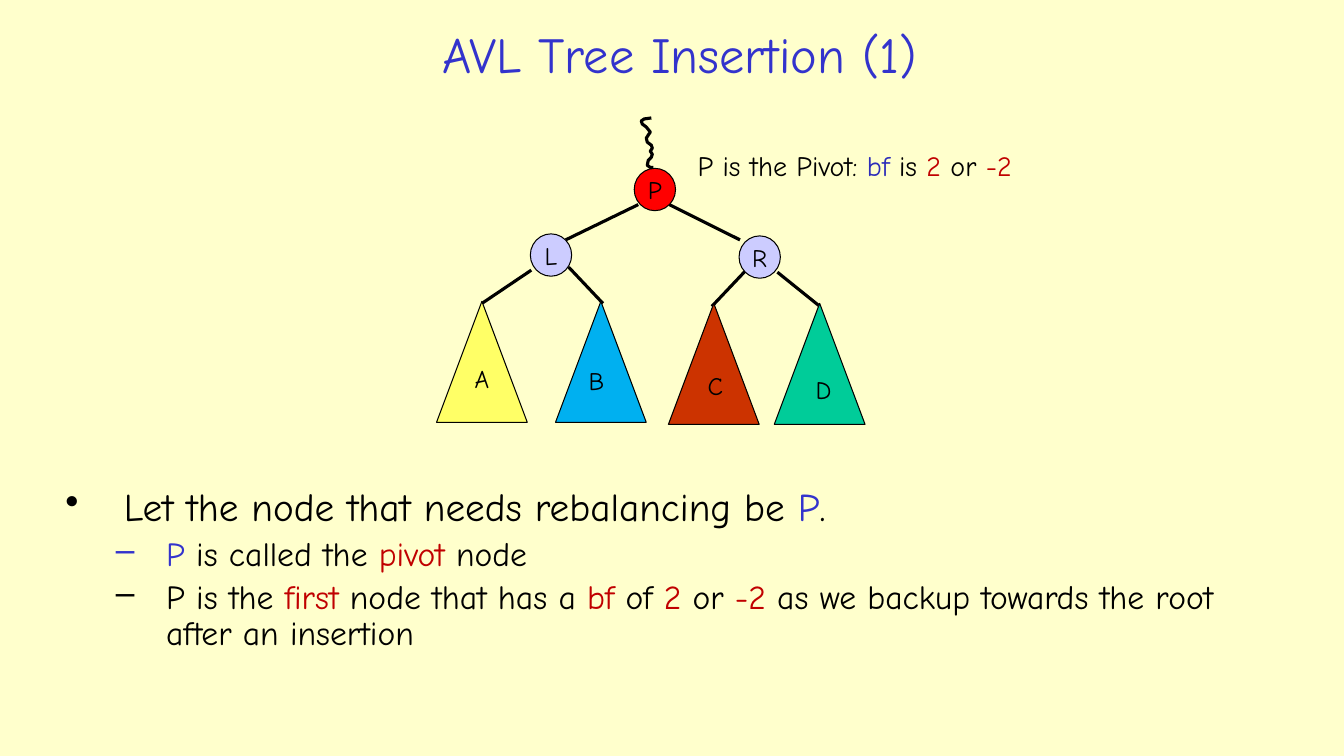
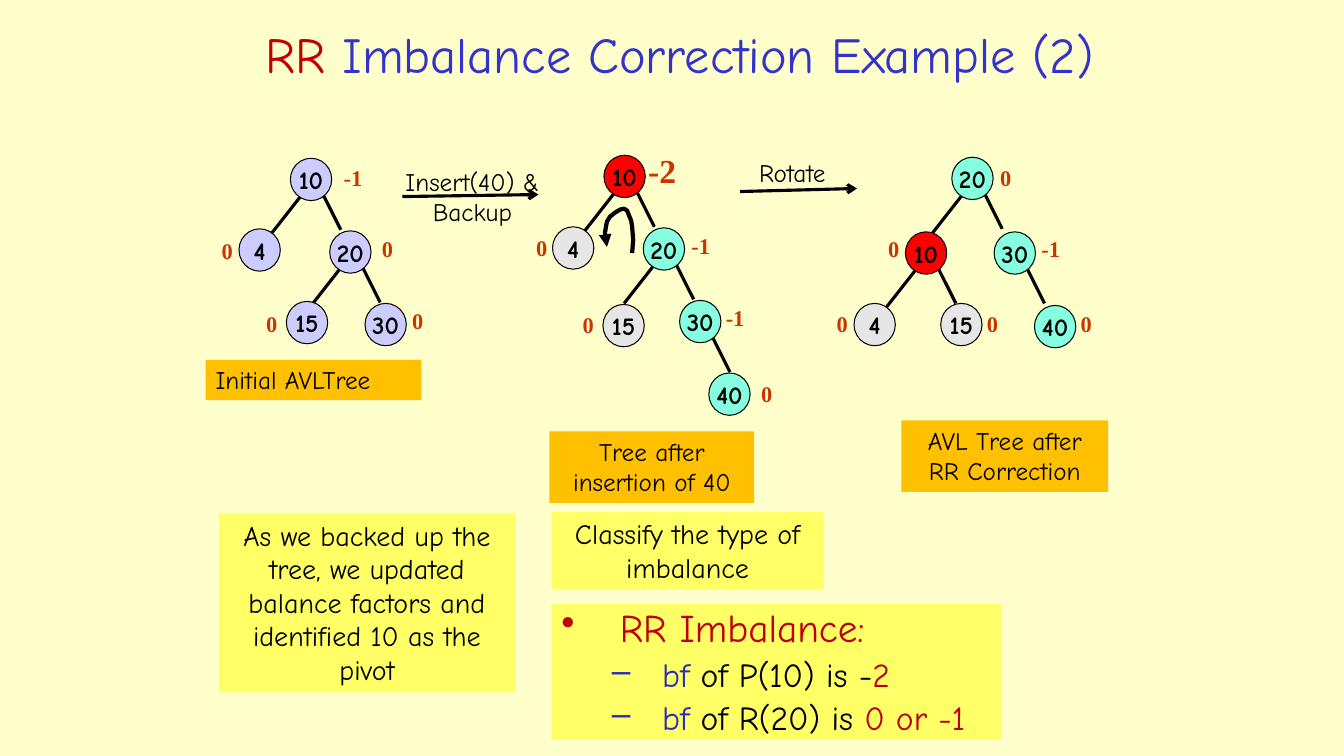
from lxml import etree
from pptx import Presentation
from pptx import util as u
from pptx.dml.color import RGBColor
from pptx.enum import shapes, text
from pptx.oxml.ns import qn

HUE = {
    "page": "FFFFCC", "title": "3333CC", "ink": "000000", "blue": "2D2DB9",
    "dark": "C00000", "brick": "CC3300", "red": "FF0000", "lilac": "CCCCFF",
    "grey": "E6E6E6", "mint": "85FFE0", "gold": "FFC000", "lemon": "FFFF66",
    "sky": "00B0F0", "green": "00CC99",
}
RGB = {name: RGBColor.from_string(code) for name, code in HUE.items()}
FONT = "Comic Neue"
KIND = shapes.MSO_SHAPE
LEFT, MID = text.PP_ALIGN.LEFT, text.PP_ALIGN.CENTER
TOP, CORE = text.MSO_ANCHOR.TOP, text.MSO_ANCHOR.MIDDLE


def put(page, kind, box, fill=None, edge=False):
    spot = [u.Inches(v) for v in box]
    if kind is None:
        return page.shapes.add_textbox(*spot)
    item = page.shapes.add_shape(kind, *spot)
    item.shadow.inherit = False
    item.fill.solid()
    item.fill.fore_color.rgb = RGB[fill]
    if edge:
        item.line.color.rgb = RGB["ink"]
        item.line.width = u.Pt(0.75)
    else:
        item.line.fill.background()
    return item


def write(item, rows, size, align=LEFT, anchor=TOP, font=FONT, hue="ink",
          bold=False, wrap=True, marks=False):
    frame = item.text_frame
    frame.word_wrap = wrap
    frame.vertical_anchor = anchor
    for i, row in enumerate(rows):
        para = frame.add_paragraph() if i else frame.paragraphs[0]
        para.alignment = align
        if marks:
            para.level = min(i, 1)
            para.line_spacing = 0.9
            para.space_before = u.Pt(5 if i else 0)
            props = para._p.get_or_add_pPr()
            props.set("marL", str(u.Inches(1 if i else 0.58)))
            props.set("indent", str(u.Inches(-0.5 if i else -0.58)))
            etree.SubElement(props, qn("a:buChar")).set("char", "–" if i else "•")
        para.font.name = font
        para.font.size = u.Pt(24 if marks and i else size)
        para.font.bold = bold
        para.font.color.rgb = RGB[hue]
        for words, tint in [(row, hue)] if isinstance(row, str) else row:
            run = para.add_run()
            run.text = words
            run.font.color.rgb = RGB[tint]


deck = Presentation()
deck.slide_width, deck.slide_height = u.Inches(13.33), u.Inches(7.5)
back = deck.slide_master.background.fill
back.solid()
back.fore_color.rgb = RGB["page"]

pages = []
for runs in [
    [("AVL Tree Insertion (1)", "title")],
    [("RR", "dark"), (" Imbalance Correction Example (2)", "title")],
]:
    page = deck.slides.add_slide(deck.slide_layouts[5])
    head = page.shapes.title
    head.left, head.top = u.Inches(1.97), u.Inches(0.15)
    head.width, head.height = u.Inches(9.54), u.Inches(0.76)
    write(head, [runs], 36, MID, CORE, hue="title")
    pages.append(page)
pivot, fix = pages

nodes = [
    (fix, "10", 2.88, 1.57, "lilac", "LR"),
    (fix, "4", 2.37, 2.27, "lilac", ""),
    (fix, "20", 3.27, 2.29, "lilac", "LR"),
    (fix, "15", 2.84, 2.99, "lilac", ""),
    (fix, "30", 3.62, 3.01, "lilac", ""),
    (fix, "10", 5.99, 1.54, "red", "LR"),
    (fix, "4", 5.48, 2.25, "grey", ""),
    (fix, "20", 6.38, 2.26, "mint", "LR"),
    (fix, "15", 5.98, 3.02, "grey", ""),
    (fix, "30", 6.74, 2.98, "mint", "R"),
    (fix, "40", 7.03, 3.7, "mint", ""),
    (fix, "20", 9.44, 1.56, "mint", "LR"),
    (fix, "10", 8.98, 2.3, "red", "LR"),
    (fix, "30", 9.86, 2.3, "mint", "R"),
    (fix, "4", 8.47, 3.01, "grey", ""),
    (fix, "15", 9.33, 3.01, "grey", ""),
    (fix, "40", 10.26, 3.03, "mint", ""),
    (pivot, "P", 6.29, 1.67, "red", ""),
    (pivot, "L", 5.26, 2.32, "lilac", ""),
    (pivot, "R", 7.33, 2.34, "lilac", ""),
]

lines = [
    (pivot, 6.33, 2.03, 5.61, 2.38, False),
    (pivot, 6.64, 2.03, 7.34, 2.38, False),
    (pivot, 5.27, 2.68, 4.78, 3.01, False),
    (pivot, 5.64, 2.65, 5.98, 3.01, False),
    (pivot, 7.4, 2.68, 7.06, 3.04, False),
    (pivot, 7.71, 2.7, 8.12, 3.03, False),
    (fix, 3.99, 1.95, 5.34, 1.93, True),
    (fix, 7.34, 1.9, 8.5, 1.87, True),
]
limbs = {"L": (0.1, 0.38, -0.29, 0.37), "R": (0.33, 0.37, 0.17, 0.34)}
for page, word, x, y, fill, sides in nodes:
    for side in sides:
        dx, dy, run, drop = limbs[side]
        lines.append((page, x + dx, y + dy, x + dx + run, y + dy + drop, False))

for page, x1, y1, x2, y2, tip in lines:
    ends = [u.Inches(v) for v in (x1, y1, x2, y2)]
    line = page.shapes.add_connector(shapes.MSO_CONNECTOR.STRAIGHT, *ends)
    line.line.color.rgb = RGB["ink"]
    line.line.width = u.Pt(2.25)
    props = line._element.spPr
    if tip:
        etree.SubElement(props.find(qn("a:ln")), qn("a:tailEnd")).set("type", "arrow")
    etree.SubElement(props, qn("a:effectLst"))

for page, word, x, y, fill, sides in nodes:
    ball = put(page, KIND.OVAL, (x, y, 0.41, 0.42), fill, True)
    write(ball, [word], 18, MID, CORE, bold=page is fix, wrap=False)

for word, x, y, fill, tx, ty in [
    ("A", 4.33, 2.99, "lemon", 4.61, 3.56),
    ("B", 5.51, 2.99, "sky", 5.74, 3.58),
    ("C", 6.63, 3.01, "brick", 6.92, 3.62),
    ("D", 7.68, 3.01, "green", 7.99, 3.66),
]:
    put(pivot, KIND.ISOSCELES_TRIANGLE, (x, y, 0.9, 1.2), fill, True)
    write(put(pivot, None, (tx, ty, 0.38, 0.4)), [word], 18)

for page, width, tip, dots in [
    (pivot, 2.25, False, [
        (6.46, 1.17), (6.39, 1.18), (6.36, 1.2), (6.37, 1.23), (6.41, 1.26),
        (6.45, 1.31), (6.43, 1.34), (6.41, 1.37), (6.42, 1.41), (6.46, 1.44),
        (6.47, 1.47), (6.45, 1.5), (6.47, 1.53), (6.46, 1.56), (6.43, 1.59),
        (6.42, 1.64), (6.45, 1.66), (6.48, 1.66)]),
    (fix, 3, True, [
        (6.27, 2.51), (6.28, 2.38), (6.27, 2.25), (6.26, 2.19), (6.24, 2.14),
        (6.22, 2.09), (6.19, 2.07), (6.15, 2.08), (6.1, 2.11), (6.05, 2.15),
        (6.02, 2.2), (6.01, 2.25), (6, 2.31), (6.01, 2.38), (6.02, 2.45)]),
]:
    dots = [(u.Inches(x), u.Inches(y)) for x, y in dots]
    pen = page.shapes.build_freeform(*dots[0])
    pen.add_line_segments(dots[1:], close=False)
    curve = pen.convert_to_shape()
    curve.shadow.inherit = False
    curve.fill.background()
    curve.line.color.rgb = RGB["ink"]
    curve.line.width = u.Pt(width)
    if tip:
        stroke = curve._element.spPr.find(qn("a:ln"))
        etree.SubElement(stroke, qn("a:tailEnd")).set("type", "triangle")

for word, x, y in [
    ("-1", 3.31, 1.58), ("0", 2.1, 2.3), ("0", 3.69, 2.28),
    ("0", 2.54, 3.03), ("0", 3.99, 3),
    ("-2", 6.33, 1.44), ("0", 5.22, 2.27), ("-1", 6.76, 2.25),
    ("0", 5.68, 3.04), ("-1", 7.1, 2.97), ("0", 7.45, 3.72),
    ("0", 9.82, 1.58), ("0", 8.71, 2.28), ("-1", 10.23, 2.28),
    ("0", 8.2, 3.03), ("0", 9.69, 3.03), ("0", 10.62, 3.03),
]:
    big = word == "-2"
    wide = 0.48 if big else 0.39 if word == "-1" else 0.31
    tag = put(fix, None, (x, y, wide, 0.51 if big else 0.37))
    write(tag, [word], 24 if big else 16, font="Times New Roman",
          hue="brick", bold=True, wrap=False)

for page, box, fill, size, align, rows in [
    (pivot, (6.82, 1.42, 3.67, 0.44), None, 20, LEFT, [[
        ("P is the Pivot: ", "ink"), ("bf", "blue"), (" is ", "ink"),
        ("2", "dark"), (" or ", "ink"), ("-2", "dark")]]),
    (fix, (3.83, 1.6, 1.71, 0.71), None, 18, MID, ["Insert(40) &", "Backup"]),
    (fix, (7.43, 1.51, 1, 0.4), None, 18, LEFT, ["Rotate"]),
    (fix, (2.04, 3.57, 2.14, 0.4), "gold", 18, LEFT, ["Initial AVLTree"]),
    (fix, (5.45, 4.28, 2.03, 0.71), "gold", 18, MID,
     ["Tree after", "insertion of 40"]),
    (fix, (8.94, 4.17, 2.05, 0.71), "gold", 18, MID,
     ["AVL Tree after", "RR Correction"]),
    (fix, (2.17, 5.09, 2.94, 1.78), "lemon", 20, MID,
     ["As we backed up the tree, we updated balance factors and "
      "identified 10 as the pivot"]),
    (fix, (5.47, 5.08, 2.7, 0.77), "lemon", 20, MID,
     ["Classify the type of imbalance"]),
]:
    write(put(page, KIND.RECTANGLE if fill else None, box, fill), rows, size, align)

points = put(pivot, None, (0.55, 4.79, 12.16, 2.17))
write(points, [
    [("Let the node that needs rebalancing be ", "ink"), ("P", "title"), (".", "ink")],
    [("P", "title"), (" is called the ", "ink"), ("pivot", "dark"), (" node", "ink")],
    [("P is the ", "ink"), ("first", "dark"), (" node that has a ", "ink"),
     ("bf", "dark"), (" of ", "ink"), ("2", "dark"), (" or ", "ink"),
     ("-2", "dark"),
     (" as we backup towards the root after an insertion", "ink")],
], 28, marks=True)

case = put(fix, KIND.RECTANGLE, (5.47, 5.99, 4.46, 1.35), "lemon")
write(case, [
    [("RR Imbalance:", "dark")],
    [("bf", "blue"), (" of P(10) is -", "ink"), ("2", "dark")],
    [("bf", "blue"), (" of R(20) is ", "ink"), ("0 or -1", "dark")],
], 28, marks=True)

deck.save("out.pptx")
